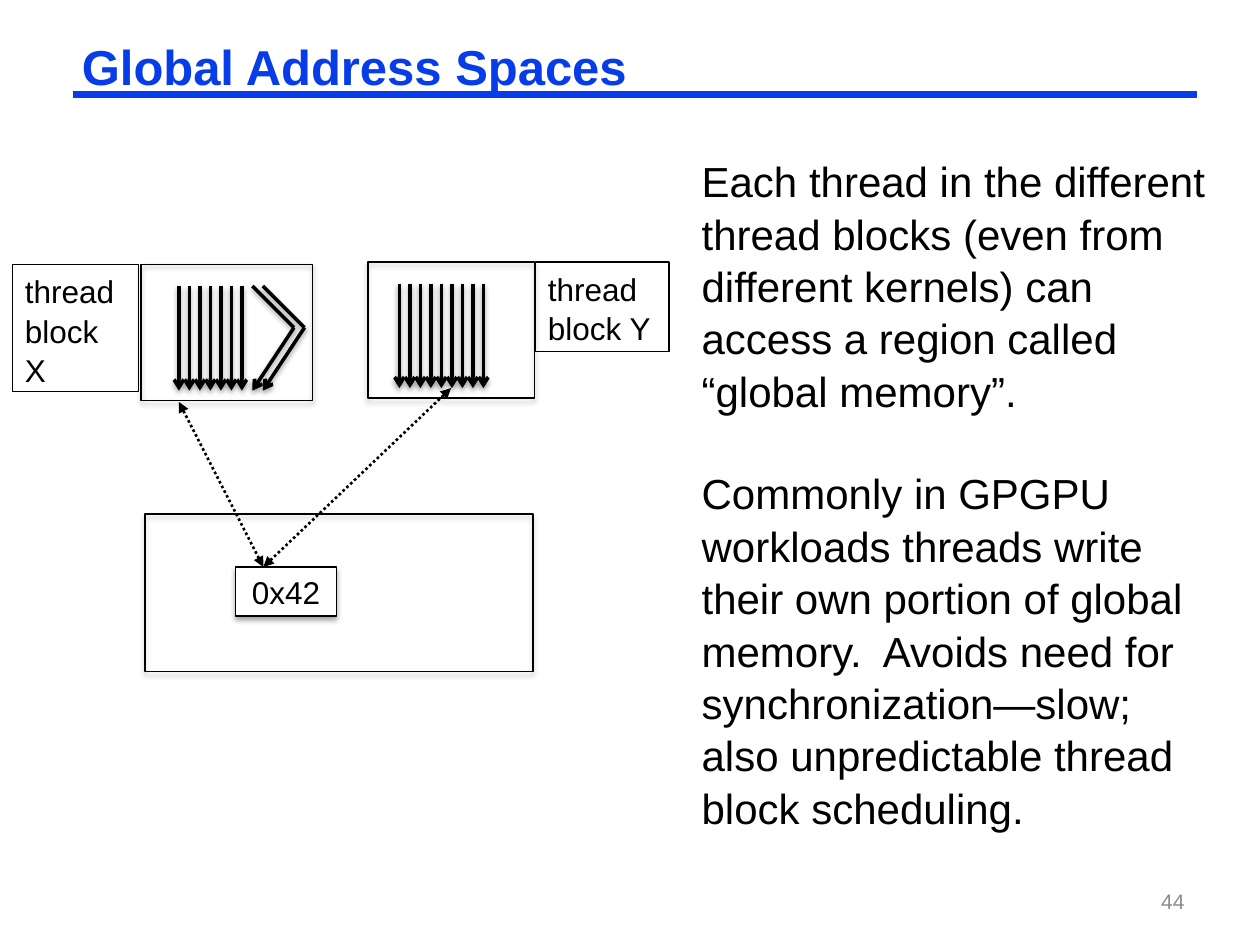
from lxml.etree import SubElement
from pptx import Presentation
from pptx.dml.color import RGBColor
from pptx.enum.dml import MSO_LINE_DASH_STYLE as DASH
from pptx.enum.shapes import MSO_CONNECTOR, MSO_SHAPE
from pptx.enum.text import MSO_ANCHOR as ANCHOR, PP_ALIGN as ALIGN
from pptx.oxml.ns import qn
from pptx.util import Inches, Pt

COLORS = {"blue": "063DE8", "black": "000000", "white": "FFFFFF", "gray": "8C8C8C"}
FONT = "Arial"

TITLE = "Global Address Spaces"
PAGE_NUMBER = "44"
BODY = [
    "Each thread in the different thread blocks (even from different kernels) "
    "can access a region called “global memory”.",
    "Commonly in GPGPU workloads threads write their own portion of global memory.  "
    "Avoids need for synchronization—slow; also unpredictable thread block scheduling.",
]

# Boxes are left, top, width, height in inches.
THREAD_BLOCKS = [
    {"frame": (1.12, 2.1, 1.36, 1.08), "first_thread": (1.42, 2.27), "straight": 7, "bent": 2,
     "label": "thread block X", "label_box": (0.1, 2.1, 1, 1.01)},
    {"frame": (2.92, 2.08, 1.32, 1.08), "first_thread": (3.17, 2.25), "straight": 9, "bent": 0,
     "label": "thread block Y", "label_box": (4.25, 2.08, 1.06, 0.71)},
]
THREAD_GAP, THREAD_LENGTH, BEND = 1 / 12, 0.83, 0.33
GLOBAL_MEMORY = (1.15, 4.08, 3.08, 1.25)
ADDRESS, ADDRESS_BOX = "0x42", (1.87, 4.5, 0.8, 0.39)
ACCESS_FROM = (2.09, 4.5)
ACCESS_TO = [(1.42, 3.19), (3.58, 3.08)]


def color(name):
    return RGBColor.from_string(COLORS[name])


def write(shape, *texts, size=18, tint="black", bold=False, align=ALIGN.LEFT,
          anchor=ANCHOR.TOP, insets=(0.1, 0.05), spacing=1.04, gap=0):
    """Fill a shape with one paragraph per text, gap points apart."""
    frame = shape.text_frame
    frame.word_wrap = True
    frame.vertical_anchor = anchor
    frame.margin_left = frame.margin_right = Inches(insets[0])
    frame.margin_top = frame.margin_bottom = Inches(insets[1])
    for index, text in enumerate(texts):
        para = frame.add_paragraph() if index else frame.paragraphs[0]
        para.alignment, para.line_spacing = align, spacing
        if index:
            para.space_before = Pt(gap)
        span = para.add_run()
        span.text = text
        span.font.name, span.font.size, span.font.bold = FONT, Pt(size), bold
        span.font.color.rgb = color(tint)


def add_shadow(effects, opacity, distance):
    outer = SubElement(effects, qn("a:outerShdw"), blurRad=str(Pt(3.1)), dist=str(Pt(distance)),
                       dir="5400000", rotWithShape="0")
    tint = SubElement(outer, qn("a:srgbClr"), val=COLORS["black"])
    SubElement(tint, qn("a:alpha"), val=str(opacity * 1000))


def add_box(page, area, fill=None, shadow=True):
    box = page.shapes.add_shape(MSO_SHAPE.RECTANGLE, *map(Inches, area))
    if fill:
        box.fill.solid()
        box.fill.fore_color.rgb = color(fill)
    else:
        box.fill.background()
    box.line.color.rgb, box.line.width = color("black"), Pt(0.75)
    box.shadow.inherit = False
    if shadow:
        add_shadow(box._element.spPr.find(qn("a:effectLst")), 35, 1.8)
    return box


def add_line(page, start, end, width=2, tint="black", dash=None, head=None, tail=None, shadow=False):
    line = page.shapes.add_connector(MSO_CONNECTOR.STRAIGHT, *map(Inches, (*start, *end)))
    line.line.color.rgb, line.line.width = color(tint), Pt(width)
    if dash:
        line.line.dash_style = dash
    outline = line.line._get_or_add_ln()
    for tag, kind in (("a:headEnd", head), ("a:tailEnd", tail)):
        if kind:
            SubElement(outline, qn(tag), type=kind)
    effects = SubElement(line._element.spPr, qn("a:effectLst"))
    if shadow:
        add_shadow(effects, 38, 1.6)


def add_threads(page, block):
    """Draw the straight threads, then the diverging ones as bent arrows."""
    left, top = block["first_thread"]
    bottom = top + THREAD_LENGTH
    for index in range(block["straight"] + block["bent"]):
        x = left + index * THREAD_GAP
        start = (x, top)
        if index >= block["straight"]:
            corner = (x + BEND, top + BEND)
            add_line(page, start, corner, shadow=True)
            start = corner
        add_line(page, start, (x, bottom), tail="arrow", shadow=True)


def main():
    deck = Presentation()
    deck.slide_width, deck.slide_height = Inches(10), Inches(7.5)
    page = deck.slides.add_slide(deck.slide_layouts[5])

    add_line(page, (0.58, 0.75), (9.5, 0.75), width=4.5, tint="blue")
    title = page.shapes.title
    title.left, title.top, title.width, title.height = map(Inches, (0.58, 0.33, 8.92, 0.46))
    write(title, TITLE, size=28, tint="blue", bold=True, anchor=ANCHOR.MIDDLE,
          insets=(0.07, 0.03), spacing=0.87)
    number = page.shapes.add_textbox(*map(Inches, (7.17, 6.95, 2.33, 0.4)))
    write(number, PAGE_NUMBER, size=12, tint="gray", align=ALIGN.RIGHT, anchor=ANCHOR.MIDDLE)

    for block in THREAD_BLOCKS:
        add_threads(page, block)
        add_box(page, block["frame"])
        write(add_box(page, block["label_box"], shadow=False), block["label"])

    add_box(page, GLOBAL_MEMORY)
    for target in ACCESS_TO:
        add_line(page, ACCESS_FROM, target, width=1.5, dash=DASH.ROUND_DOT,
                 head="triangle", tail="triangle")
    write(add_box(page, ADDRESS_BOX, fill="white"), ADDRESS, align=ALIGN.CENTER,
          anchor=ANCHOR.MIDDLE, insets=(0.1, 0))

    body = page.shapes.add_textbox(*map(Inches, (5.47, 1.17, 4.21, 5.35)))
    write(body, *BODY, size=24, gap=28.8)
    deck.save("out.pptx")


if __name__ == "__main__":
    main()
